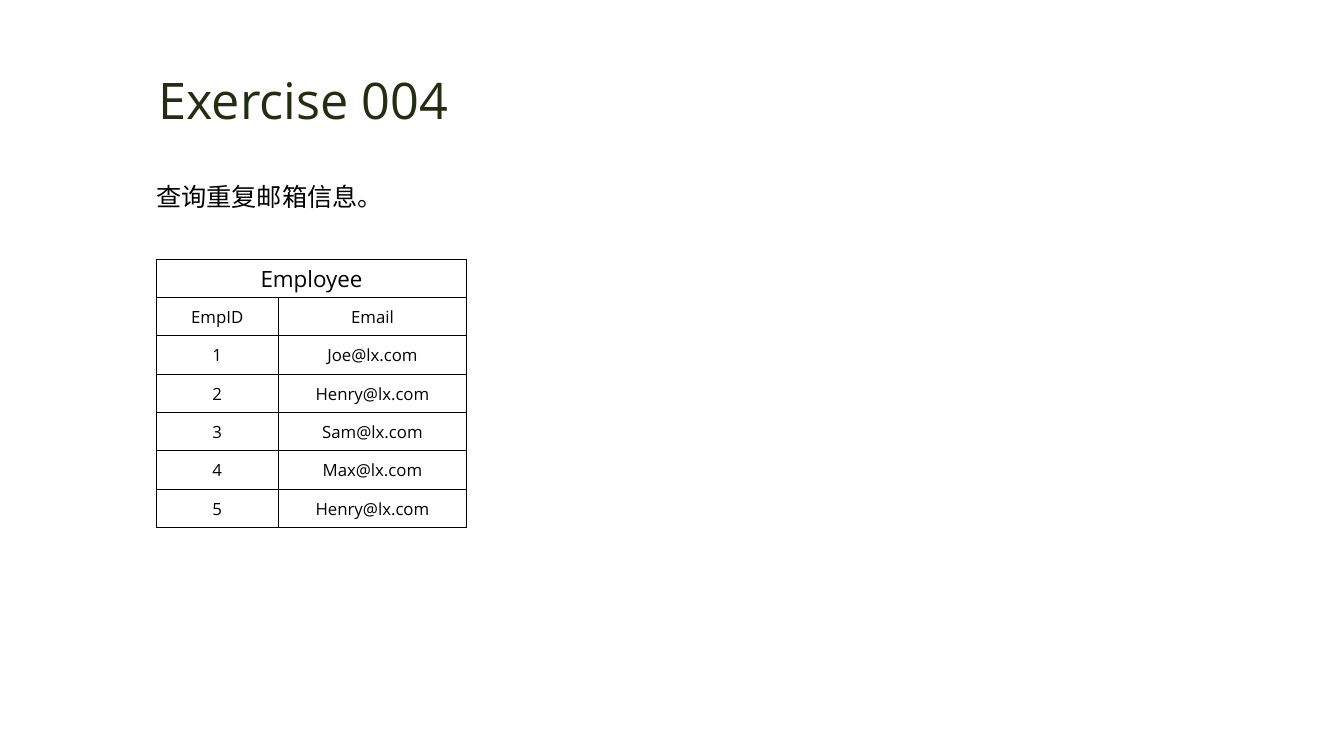
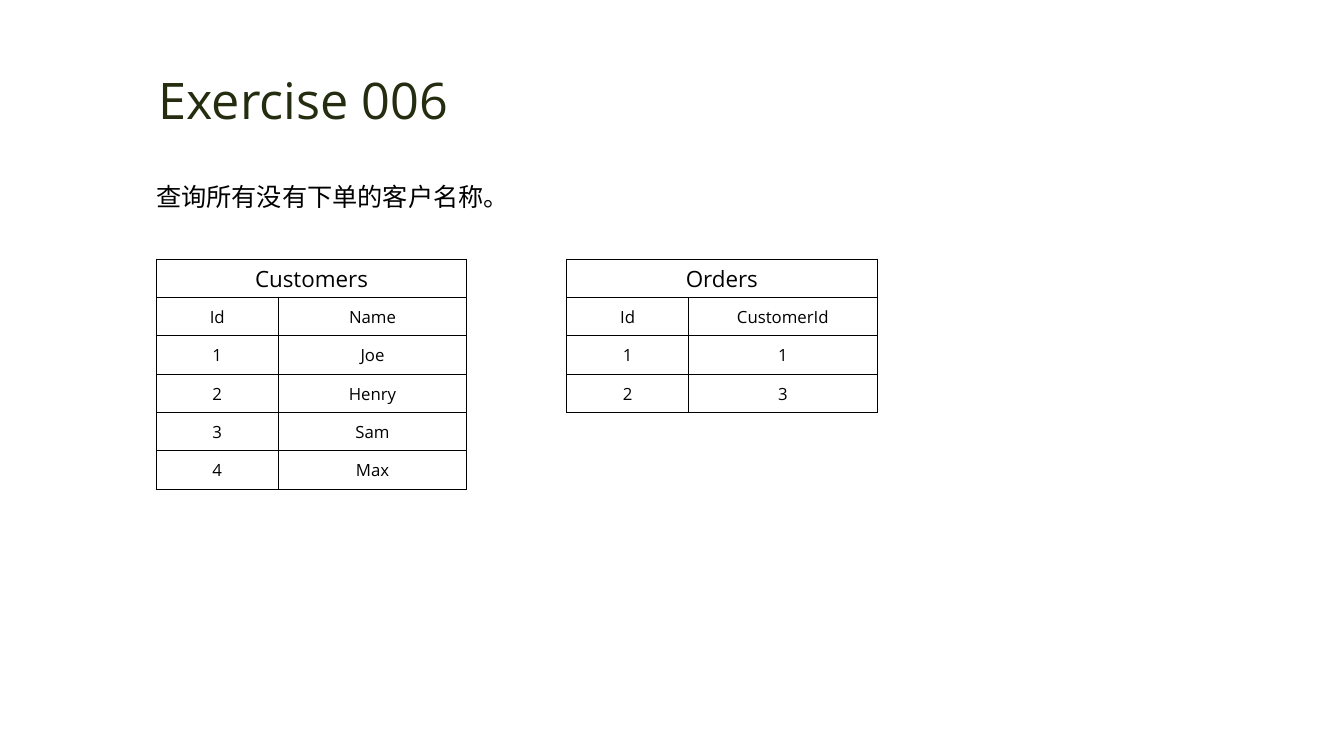
from dataclasses import dataclass

import pptx
import pptx.dml.color
import pptx.enum.text
import pptx.oxml
import pptx.oxml.ns
import pptx.util

Inches = pptx.util.Inches
Pt = pptx.util.Pt
RGB = pptx.dml.color.RGBColor
Align = pptx.enum.text.PP_ALIGN
Anchor = pptx.enum.text.MSO_ANCHOR
Fit = pptx.enum.text.MSO_AUTO_SIZE


@dataclass(frozen=True)
class Theme:
    font: str = "Open Sans"
    green: str = "242D10"
    black: str = "000000"
    title: int = 36
    task: int = 18
    head: int = 16
    cell: int = 12
    rule: float = 0.5


THEME = Theme()
LEFT, TOP = 1.55, 2.57
WIDTHS = (1.21, 1.87)
ROW = 0.38
STEP = 4.07  # from the left edge of one table to the next

SLIDES = [
    ("Exercise 004", "查询重复邮箱信息。", [
        ("Employee", [
            ("EmpID", "Email"),
            ("1", "Joe@lx.com"),
            ("2", "Henry@lx.com"),
            ("3", "Sam@lx.com"),
            ("4", "Max@lx.com"),
            ("5", "Henry@lx.com"),
        ]),
    ]),
    ("Exercise 006", "查询所有没有下单的客户名称。", [
        ("Customers", [
            ("Id", "Name"),
            ("1", "Joe"),
            ("2", "Henry"),
            ("3", "Sam"),
            ("4", "Max"),
        ]),
        ("Orders", [
            ("Id", "CustomerId"),
            ("1", "1"),
            ("2", "3"),
        ]),
    ]),
]


def add_run(para, text, size, color=THEME.black):
    run = para.add_run()
    run.text = text
    run.font.name = THEME.font
    run.font.size = Pt(size)
    run.font.color.rgb = RGB.from_string(color)


def add_box(slide, left, top, width, height, wrap):
    """Add a text box and return its first paragraph."""
    box = slide.shapes.add_textbox(*map(Inches, (left, top, width, height)))
    frame = box.text_frame
    frame.word_wrap = wrap
    frame.auto_size = Fit.SHAPE_TO_FIT_TEXT
    return frame.paragraphs[0]


def add_title(slide, text):
    para = add_box(slide, 1.39, 0.64, 3.24, 0.71, False)
    para.alignment = Align.CENTER
    add_run(para, text, THEME.title, THEME.green)


def add_task(slide, text):
    para = add_box(slide, 1.45, 1.6, 5.23, 0.51, True)
    para.line_spacing = 1.5
    add_run(para, text, THEME.task)


def style_cell(cell):
    """Give a cell thin margins, a rule on each side and no fill."""
    cell.vertical_anchor = Anchor.MIDDLE
    cell.margin_left = cell.margin_right = cell.margin_top = Inches(0.01)
    cell.margin_bottom = 0
    props = cell._tc.get_or_add_tcPr()
    for side in ("lnL", "lnR", "lnT", "lnB"):
        props.append(pptx.oxml.parse_xml(
            f'<a:{side} {pptx.oxml.ns.nsdecls("a")} w="{Pt(THEME.rule)}">'
            f'<a:solidFill><a:srgbClr val="{THEME.black}"/></a:solidFill>'
            f'</a:{side}>'))
    cell.fill.background()


def fill_cell(cell, text, size):
    para = cell.text_frame.paragraphs[0]
    para.alignment = Align.CENTER
    add_run(para, text, size)


def add_table(slide, left, name, rows):
    """Add a table whose first row is its name, merged across."""
    count = len(rows) + 1
    frame = slide.shapes.add_table(
        count, len(WIDTHS), Inches(left), Inches(TOP),
        Inches(sum(WIDTHS)), Inches(ROW * count))
    table = frame.table
    table.first_row = table.horz_banding = False
    for col, width in zip(table.columns, WIDTHS):
        col.width = Inches(width)
    for row in table.rows:
        row.height = Inches(ROW)
        for cell in row.cells:
            style_cell(cell)
    head = table.cell(0, 0)
    head.merge(table.cell(0, len(WIDTHS) - 1))
    fill_cell(head, name, THEME.head)
    for r, row in enumerate(rows, 1):
        for c, text in enumerate(row):
            fill_cell(table.cell(r, c), text, THEME.cell)


def main():
    deck = pptx.Presentation()
    deck.slide_width, deck.slide_height = Inches(13.33), Inches(7.5)
    for title, task, tables in SLIDES:
        slide = deck.slides.add_slide(deck.slide_layouts[6])
        add_title(slide, title)
        add_task(slide, task)
        for i, (name, rows) in enumerate(tables):
            add_table(slide, LEFT + i * STEP, name, rows)
    deck.save("out.pptx")


if __name__ == "__main__":
    main()
